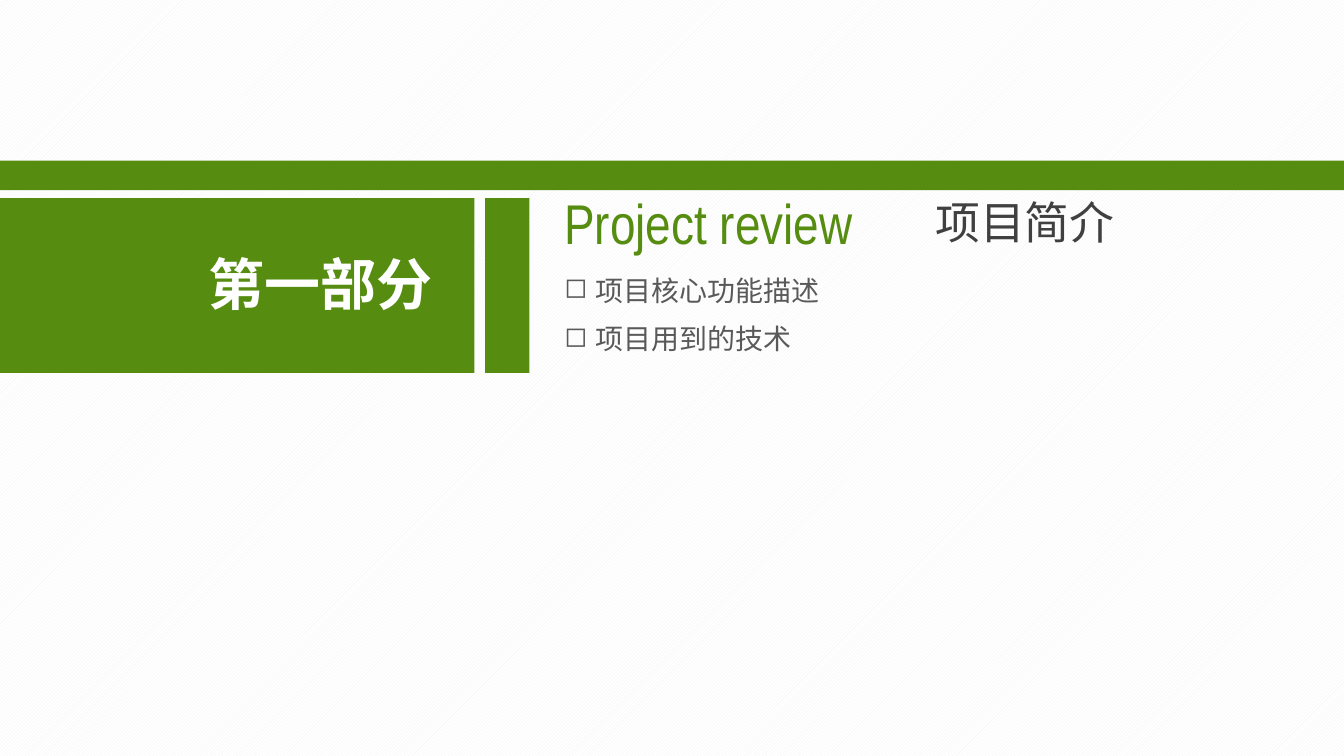
from lxml import etree
from pptx import Presentation
from pptx.dml.color import RGBColor
from pptx.enum.dml import MSO_PATTERN
from pptx.enum.shapes import MSO_SHAPE
from pptx.enum.text import MSO_AUTO_SIZE
from pptx.oxml.ns import qn
from pptx.util import Inches, Pt

RECT = MSO_SHAPE.RECTANGLE
HATCH = MSO_PATTERN.LIGHT_UPWARD_DIAGONAL
GROW = MSO_AUTO_SIZE.SHAPE_TO_FIT_TEXT

CELL = 0.1  # inches per grid column and row
COLS, ROWS = 100, 56.25
GREEN, WHITE, PALE = "568D11", "FFFFFF", "F2F2F2"
DARK, GREY = "404040", "595959"
HAN, LATIN = "Noto Sans CJK SC", "Arial Narrow"


def color(code):
    return RGBColor.from_string(code)


def grid(*cells):
    return [Inches(n * CELL) for n in cells]


class Page:
    """Holds the style and the current slide; places are in grid cells."""

    def __init__(self, deck):
        self.slide = deck.slides.add_slide(deck.slide_layouts[6])
        self.shapes = self.slide.shapes

    def hatch(self, front, back):
        fill = self.slide.background.fill
        fill.patterned()
        fill.pattern = HATCH
        fill.fore_color.rgb = color(front)
        fill.back_color.rgb = color(back)

    def block(self, *place):
        box = self.shapes.add_shape(RECT, *grid(*place))
        box.shadow.inherit = False
        box.fill.solid()
        box.fill.fore_color.rgb = color(GREEN)
        box.line.fill.background()

    def text(self, words, place, size, tint, face=HAN, bold=False):
        frame = self.shapes.add_textbox(*grid(*place)).text_frame
        frame.word_wrap = False
        frame.auto_size = GROW
        frame.margin_left = frame.margin_right = Inches(0.07)
        frame.margin_top = frame.margin_bottom = Inches(0.04)
        frame.text = words
        para = frame.paragraphs[0]
        font = para.runs[0].font
        font.size, font.bold, font.name = Pt(size), bold, face
        font.color.rgb = color(tint)
        props = para.runs[0]._r.get_or_add_rPr()
        etree.SubElement(props, qn("a:ea"), typeface=face)
        return para

    def bullet(self, words, place):
        para = self.text(words, place, 15, GREY)
        props = para._p.get_or_add_pPr()
        indent = Inches(0.23)
        props.set("marL", str(indent))
        props.set("indent", str(-indent))
        etree.SubElement(props, qn("a:buChar"), char="◻")


def main():
    deck = Presentation()
    deck.slide_width, deck.slide_height = grid(COLS, ROWS)
    page = Page(deck)
    page.hatch(PALE, WHITE)

    top, tall, left = 14.75, 13, 41.3
    page.block(0, top, 35.3, tall)
    page.text("第一部分", (14.8, 18.2, 18.3, 5.8), 30, WHITE, bold=True)

    topics = [("项目核心功能描述", 20.7), ("项目用到的技术", 18.6)]
    for row, (words, wide) in enumerate(topics):
        page.bullet(words, (left, 19.95 + 3.58 * row, wide, 3.3))

    page.text("Project review", (left, 13.6, 26.4, 5.8), 30, GREEN, LATIN)
    page.text("项目简介", (68.9, 14.1, 15, 4.8), 24, DARK)

    page.block(0, 11.95, COLS, 2.2)
    page.block(36.1, top, 3.3, tall)
    deck.save("out.pptx")


if __name__ == "__main__":
    main()
